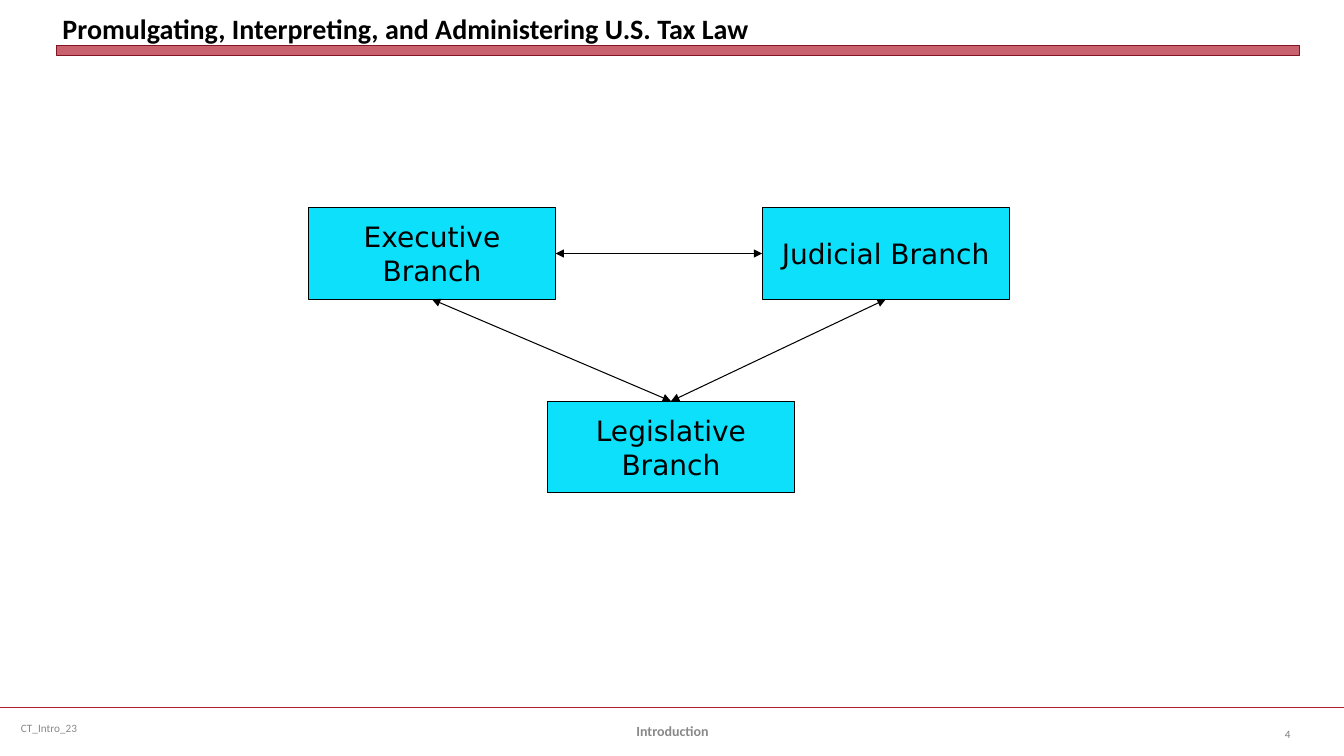
from dataclasses import dataclass

import lxml.etree
import pptx
import pptx.dml.color
import pptx.enum.shapes
import pptx.enum.text
import pptx.oxml.ns
import pptx.util

Inches = pptx.util.Inches
ALIGN = pptx.enum.text.PP_ALIGN
ANCHOR = pptx.enum.text.MSO_ANCHOR
TOP, LEFT, BOTTOM, RIGHT = range(4)


@dataclass(frozen=True)
class Theme:
    heading_font: str = "Calibri"
    box_font: str = "DejaVu Sans"
    ink: str = "000000"
    box_fill: str = "0CE0FB"
    accent: str = "B01C2E"
    accent_dark: str = "821522"
    footer: str = "898989"
    page_number: str = "808080"
    large: int = 20
    medium: int = 10
    small: int = 8
    thin: float = 0.75
    rule: float = 1.25


THEME = Theme()


def rgb(color):
    return pptx.dml.color.RGBColor.from_string(color)


def add_xml(parent, tag, **attributes):
    lxml.etree.SubElement(parent, pptx.oxml.ns.qn(tag), attributes)


def write_text(shape, text, font, size, color, align, bold=False, anchor=ANCHOR.MIDDLE):
    frame = shape.text_frame
    frame.word_wrap = True
    frame.auto_size = pptx.enum.text.MSO_AUTO_SIZE.NONE
    frame.vertical_anchor = anchor
    paragraph = frame.paragraphs[0]
    paragraph.alignment = align
    run = paragraph.add_run()
    run.text = text
    formats = {"name": font, "size": pptx.util.Pt(size), "bold": bold}
    for name, value in formats.items():
        setattr(run.font, name, value)
    run.font.color.rgb = rgb(color)


def set_title(slide, text):
    title = slide.shapes.title
    bounds = {"left": 0.56, "top": 0.05, "width": 12.33, "height": 0.4}
    for name, value in bounds.items():
        setattr(title, name, Inches(value))
    margins = {"margin_left": 0.06, "margin_top": 0, "margin_right": 0, "margin_bottom": 0}
    for name, value in margins.items():
        setattr(title.text_frame, name, Inches(value))
    write_text(title, text, THEME.heading_font, THEME.large, THEME.ink,
               ALIGN.LEFT, bold=True, anchor=ANCHOR.BOTTOM)


def add_rectangle(slide, bounds, fill, line, line_width):
    rectangle = slide.shapes.add_shape(
        pptx.enum.shapes.MSO_SHAPE.RECTANGLE, *map(Inches, bounds))
    rectangle.shadow.inherit = False
    rectangle.fill.solid()
    rectangle.fill.fore_color.rgb = rgb(fill)
    rectangle.line.color.rgb = rgb(line)
    rectangle.line.width = pptx.util.Pt(line_width)
    return rectangle


def set_opacity(shape, percent):
    solid_fill = shape._element.spPr.find(pptx.oxml.ns.qn("a:solidFill"))
    add_xml(solid_fill[0], "a:alpha", val=str(percent * 1000))


def add_branch(slide, text, left, top):
    box = add_rectangle(slide, (left, top, 2.45, 0.91),
                        THEME.box_fill, THEME.ink, THEME.thin)
    write_text(box, text, THEME.box_font, THEME.large, THEME.ink, ALIGN.CENTER)
    return box


def add_line(slide, start, end, color, width):
    line = slide.shapes.add_connector(
        pptx.enum.shapes.MSO_CONNECTOR.STRAIGHT, *map(Inches, start + end))
    line.line.color.rgb = rgb(color)
    line.line.width = pptx.util.Pt(width)
    add_xml(line._element.spPr, "a:effectLst")
    return line


def link_branches(slide, first, first_side, second, second_side):
    """Join two boxes with a line that has an arrowhead at each end."""
    arrow = add_line(slide, (0, 0), (1, 1), THEME.ink, THEME.thin)
    arrow.begin_connect(first, first_side)
    arrow.end_connect(second, second_side)
    outline = arrow._element.spPr.find(pptx.oxml.ns.qn("a:ln"))
    for tag in ("a:headEnd", "a:tailEnd"):
        add_xml(outline, tag, type="triangle")


def add_footer_text(slide, text, bounds, size, color, align, bold=False):
    box = slide.shapes.add_textbox(*map(Inches, bounds))
    write_text(box, text, THEME.heading_font, size, color, align, bold)


def main():
    presentation = pptx.Presentation()
    presentation.slide_width = Inches(13.33)
    presentation.slide_height = Inches(7.5)
    slide = presentation.slides.add_slide(presentation.slide_layouts.get_by_name("Title Only"))

    add_line(slide, (0, 7.02), (13.33, 7.02), THEME.accent, THEME.rule)
    title_bar = add_rectangle(slide, (0.56, 0.45, 12.33, 0.1),
                              THEME.accent, THEME.accent_dark, 0)
    set_opacity(title_bar, 69)
    set_title(slide, "Promulgating, Interpreting, and Administering U.S. Tax Law")

    executive = add_branch(slide, "Executive Branch", 3.06, 2.06)
    judicial = add_branch(slide, "Judicial Branch", 7.56, 2.06)
    legislative = add_branch(slide, "Legislative Branch", 5.43, 3.98)
    link_branches(slide, executive, BOTTOM, legislative, TOP)
    link_branches(slide, judicial, BOTTOM, legislative, TOP)
    link_branches(slide, executive, RIGHT, judicial, LEFT)

    add_footer_text(slide, "CT_Intro_23", (0.11, 7.02, 3.44, 0.4),
                    THEME.small, THEME.footer, ALIGN.LEFT)
    add_footer_text(slide, "Introduction", (4.56, 7.05, 4.22, 0.4),
                    THEME.medium, THEME.footer, ALIGN.CENTER, bold=True)
    add_footer_text(slide, "4", (12.23, 7.08, 0.67, 0.4),
                    THEME.small, THEME.page_number, ALIGN.RIGHT)

    presentation.save("out.pptx")


if __name__ == "__main__":
    main()
